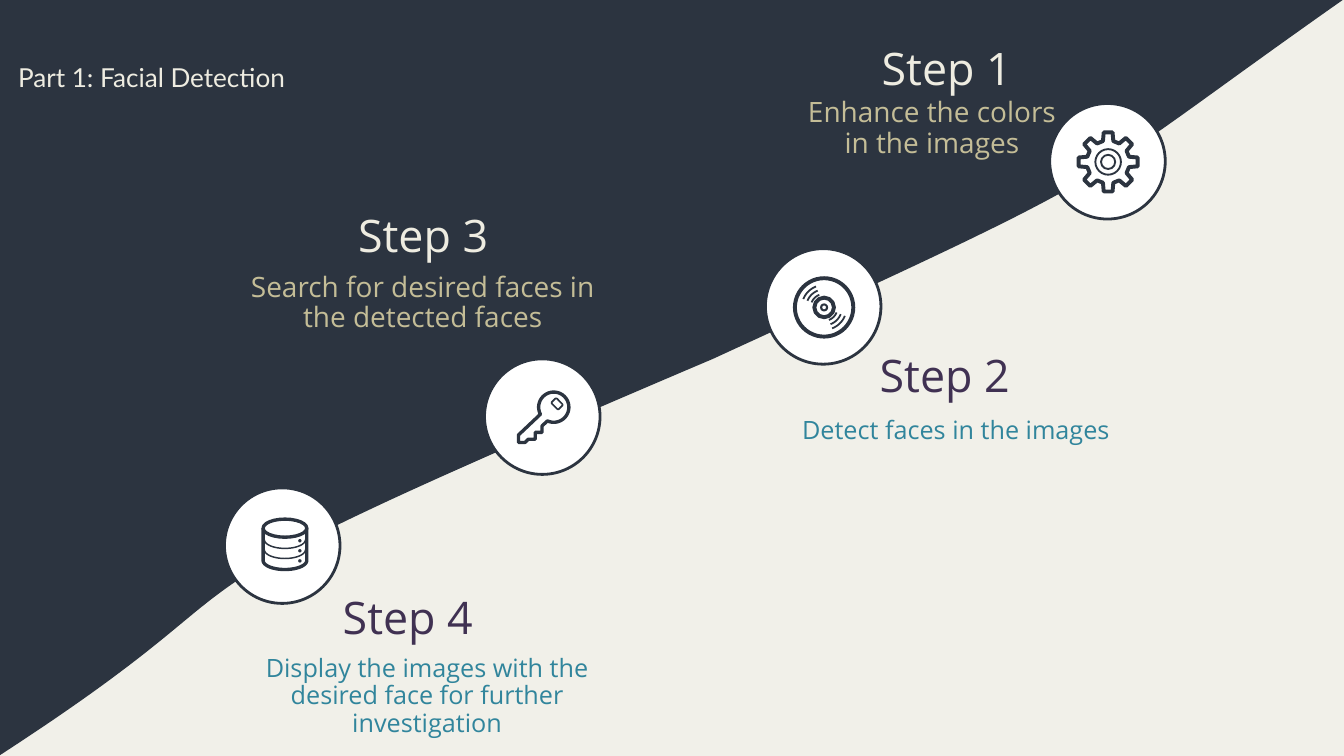
from dataclasses import dataclass
from math import cos, radians, sin
from typing import Callable

import pptx
import pptx.dml.color
import pptx.enum.shapes
import pptx.enum.text
import pptx.util

Pt = pptx.util.Pt
RGB = pptx.dml.color.RGBColor.from_string
Shape = pptx.enum.shapes.MSO_SHAPE
Align = pptx.enum.text.PP_ALIGN
Anchor = pptx.enum.text.MSO_ANCHOR
Point = tuple[float, float]
Box = tuple[float, float, float, float]


@dataclass(frozen=True)
class Theme:
    paper: str = "F1F0E9"
    navy: str = "2C3440"
    white: str = "FFFFFF"
    cream: str = "EEECE1"
    sand: str = "C4BD97"
    purple: str = "403152"
    teal: str = "31859C"
    title_font: str = "Lato"
    step_font: str = "Open Sans"
    title_size: float = 28
    heading_size: float = 48
    upper_size: float = 30
    lower_size: float = 27
    badge_size: float = 123.8
    badge_line: float = 3


@dataclass(frozen=True)
class Step:
    heading: str
    detail: str
    heading_box: Box
    detail_box: Box
    on_navy: bool


@dataclass(frozen=True)
class Badge:
    center: Point
    icon_center: Point
    draw_icon: Callable


THEME = Theme()


def arc(rx: float, ry: float, start: float, end: float, cx: float = 0, cy: float = 0) -> list[Point]:
    n = 40
    angles = [radians(start + (end - start) * i / n) for i in range(n + 1)]
    return [(cx + rx * cos(a), cy + ry * sin(a)) for a in angles]


def bezier(a: Point, b: Point, c: Point, d: Point, n: int = 60) -> list[Point]:
    return [
        tuple((1 - t) ** 3 * p + 3 * t * (1 - t) ** 2 * q + 3 * t * t * (1 - t) * u + t ** 3 * v
              for p, q, u, v in zip(a, b, c, d))
        for t in (i / n for i in range(n + 1))
    ]


def paint(sp, fill: str | None, line: str | None = None, width: float = 0) -> None:
    sp.shadow.inherit = False
    if fill:
        sp.fill.solid()
        sp.fill.fore_color.rgb = RGB(fill)
    else:
        sp.fill.background()
    if line:
        sp.line.color.rgb = RGB(line)
        sp.line.width = Pt(width)
    else:
        sp.line.fill.background()


def freeform(s, points: list[Point], closed: bool, origin: Point = (0, 0)):
    path = [(Pt(origin[0] + x), Pt(origin[1] + y)) for x, y in points]
    builder = s.shapes.build_freeform(*path[0])
    builder.add_line_segments(path[1:], close=closed)
    return builder.convert_to_shape()


def stroke(s, origin: Point, points: list[Point], width: float, closed: bool = False) -> None:
    paint(freeform(s, points, closed, origin), None, THEME.navy, width)


def ellipse(s, center: Point, rx: float, ry: float, fill: str | None, width: float = 0) -> None:
    sp = s.shapes.add_shape(Shape.OVAL, Pt(center[0] - rx), Pt(center[1] - ry), Pt(2 * rx), Pt(2 * ry))
    paint(sp, fill, THEME.navy if width else None, width)


def draw_gear(s, center: Point) -> None:
    outline = []
    for tooth in range(8):
        for radius, offset in ((23, -14), (32, -8.5), (32, 8.5), (23, 14)):
            a = radians(45 * tooth + offset)
            outline.append((radius * cos(a), radius * sin(a)))
    stroke(s, center, outline, 4.2, True)
    for radius in (13.7, 7.6):
        ellipse(s, center, radius, radius, None, 2)


def draw_disc(s, center: Point) -> None:
    for radius, width in ((31.3, 4.2), (10.5, 4.2), (3.2, 2.2)):
        ellipse(s, center, radius, radius, None, width)
    for radius in (14.4, 19.2, 24):
        for start in (22, 202):
            stroke(s, center, arc(radius, radius, start, start + 47), 1.9)


def draw_key(s, center: Point) -> None:
    shank = [(-27, 19), (-27, 27), (-20, 27), (-16.6, 23.6), (-9, 23.6),
             (-9, 16.2), (-1.8, 16.2), (-1.8, 9.4)]
    head = arc(16.2, 16.2, 115, -208, 10.8, -10.8)
    stroke(s, center, shank + head, 3.6, True)
    w, h = 10.6, 7.6
    x, y = center[0] + 14.4, center[1] - 14.4
    sp = s.shapes.add_shape(Shape.ROUNDED_RECTANGLE, Pt(x - w / 2), Pt(y - h / 2), Pt(w), Pt(h))
    sp.rotation = 45
    paint(sp, None, THEME.navy, 1.8)


def draw_database(s, center: Point) -> None:
    x, y = center
    rx, ry, top, bottom = 23.4, 9.7, -17.3, 17.3
    ellipse(s, (x, y + top), rx, ry, None, 3.6)
    stroke(s, center, [(rx, top), *arc(rx, ry, 0, 180, 0, bottom), (-rx, top)], 3.6)
    for rim in (-5, 5.8):
        stroke(s, center, arc(22, 9.4, 0, 180, 0, rim), 1.6)
    for dot in (-3.8, 7, 17.8):
        ellipse(s, (x + 16, y + dot), 1.8, 1.8, THEME.navy)


def draw_badge(s, badge: Badge) -> None:
    radius = THEME.badge_size / 2
    ellipse(s, badge.center, radius, radius, THEME.white, THEME.badge_line)
    badge.draw_icon(s, badge.icon_center)


def add_label(s, box: Box, text: str, size: float, color: str, anchor, before: float) -> None:
    tf = s.shapes.add_textbox(*map(Pt, box)).text_frame
    tf.word_wrap = True
    tf.vertical_anchor = anchor
    tf.margin_left = tf.margin_right = Pt(10.8)
    tf.margin_top = tf.margin_bottom = Pt(5)
    p = tf.paragraphs[0]
    p.text = text
    p.alignment = Align.CENTER
    p.line_spacing = 0.9
    p.space_before = Pt(before)
    p.font.name = THEME.step_font
    p.font.size = Pt(size)
    p.font.color.rgb = RGB(color)


def draw_step(s, step: Step) -> None:
    heading_color = THEME.cream if step.on_navy else THEME.purple
    detail_color = THEME.sand if step.on_navy else THEME.teal
    detail_size = THEME.upper_size if step.on_navy else THEME.lower_size
    add_label(s, step.heading_box, step.heading, THEME.heading_size, heading_color, Anchor.MIDDLE, 0)
    add_label(s, step.detail_box, step.detail, detail_size, detail_color, Anchor.TOP, 10)


def draw_title(s, text: str) -> None:
    sp = s.shapes.title
    sp.left, sp.top, sp.width, sp.height = map(Pt, (19.4, -6.5, 432.7, 107.3))
    tf = sp.text_frame
    tf.margin_left = tf.margin_right = tf.margin_top = tf.margin_bottom = 0
    tf.word_wrap = True
    tf.vertical_anchor = Anchor.TOP
    tf.auto_size = pptx.enum.text.MSO_AUTO_SIZE.SHAPE_TO_FIT_TEXT
    p = tf.paragraphs[0]
    p.text = text
    p.alignment = Align.LEFT
    p.line_spacing = Pt(105.6)
    p.font.name = THEME.title_font
    p.font.size = Pt(THEME.title_size)
    p.font.color.rgb = RGB(THEME.cream)
    s.shapes._spTree.append(sp._element)


STEPS = [
    Step("Step 3", "Search for desired faces in the detected faces",
         (203, 220.3, 501, 69), (249, 288, 408, 67), True),
    Step("Step 1", "Enhance the colors in the images",
         (840.2, 41.8, 348.5, 69), (849.6, 100.8, 298, 67), True),
    Step("Step 4", "Display the images with the desired face for further investigation",
         (186.5, 629.3, 501, 69), (269.3, 697.7, 376.6, 67), False),
    Step("Step 2", "Detect faces in the images",
         (761.8, 370, 501, 69), (802, 442.8, 444.2, 67), False),
]
BADGES = [
    Badge((1186.6, 172.8), (1187.3, 173.5), draw_gear),
    Badge((882, 328.3), (883, 329.4), draw_disc),
    Badge((581, 446.4), (582.5, 447.1), draw_key),
    Badge((302.4, 584.6), (305.3, 583.2), draw_database),
]


def main() -> None:
    prs = pptx.Presentation()
    prs.slide_width, prs.slide_height = Pt(1440), Pt(810)
    s = prs.slides.add_slide(prs.slide_layouts[5])
    s.background.fill.solid()
    s.background.fill.fore_color.rgb = RGB(THEME.paper)
    middle = (763.9, 384.5)
    slope = bezier((1438.6, 0), (1137.6, 211.7), (1234.1, 168.5), middle)
    slope += bezier(middle, (74.9, 677.5), (346.3, 584.6), (-1.4, 810))[1:]
    paint(freeform(s, [(-1.4, 0), *slope], True), THEME.navy)
    for step in STEPS:
        draw_step(s, step)
    for badge in BADGES:
        draw_badge(s, badge)
    draw_title(s, "Part 1: Facial Detection")
    prs.save("out.pptx")


if __name__ == "__main__":
    main()
